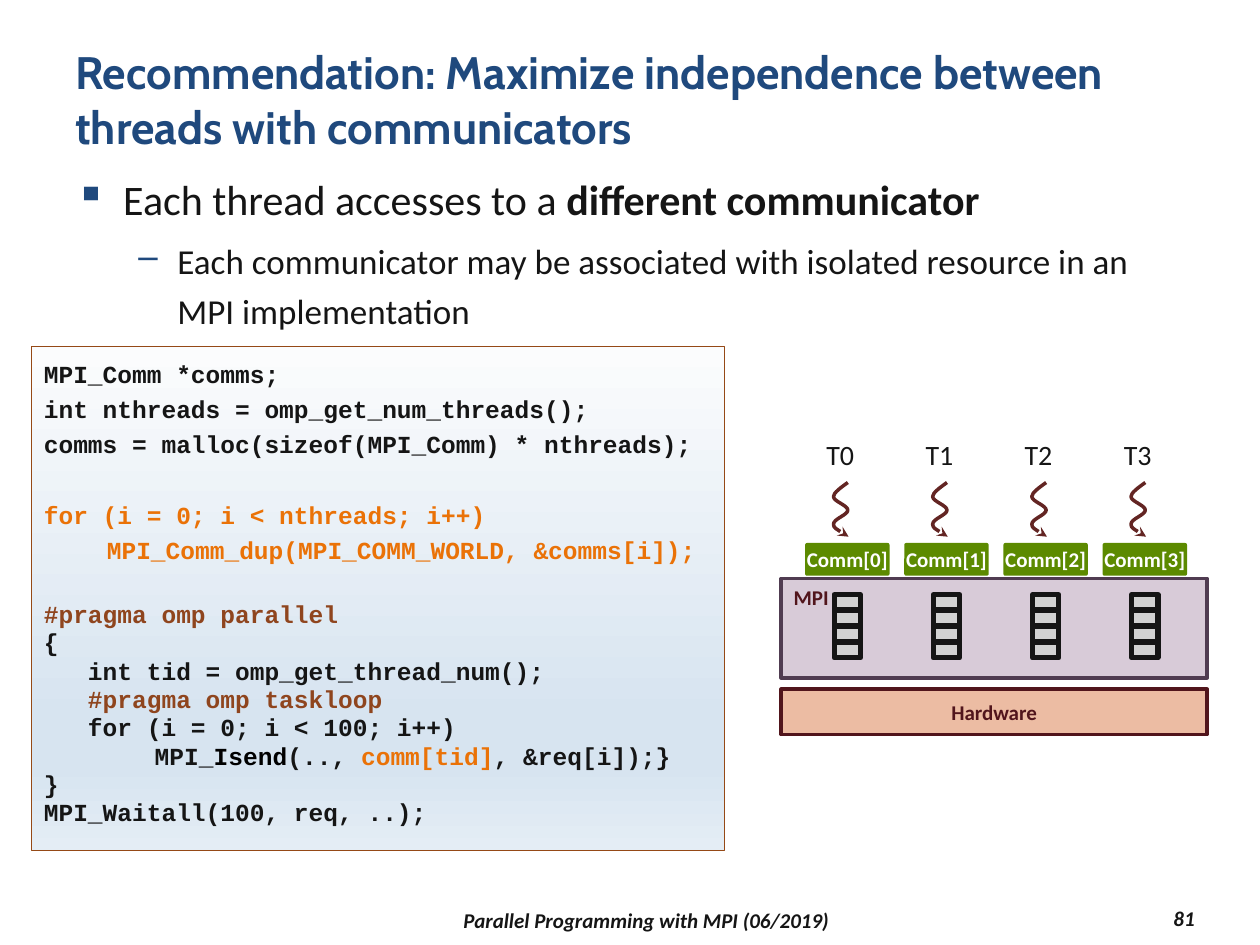
from dataclasses import dataclass
from typing import NamedTuple

from lxml.etree import SubElement
from pptx import Presentation
from pptx.dml.color import RGBColor
from pptx.enum.shapes import MSO_SHAPE
from pptx.enum.text import MSO_ANCHOR, PP_ALIGN
from pptx.oxml.ns import qn
from pptx.util import Inches, Pt


@dataclass(frozen=True)
class Theme:
    heading_font: str = "Cabin"
    body_font: str = "Calibri"
    code_font: str = "Courier New"
    title_size: int = 26
    body_size: int = 24
    detail_size: int = 20
    thread_size: int = 16
    code_size: int = 14
    label_size: int = 12
    navy: str = "1F497D"
    ink: str = "151515"
    black: str = "000000"
    white: str = "FFFFFF"
    orange: str = "EA7207"
    brown: str = "8F451E"
    code_line: str = "954916"
    maroon: str = "51151C"
    lilac: str = "D8CBD8"
    plum: str = "503C51"
    peach: str = "ECBCA3"
    grey: str = "D2D2D2"
    green: str = "5C8A00"
    arrow: str = "632523"
    code_stops: tuple = ((0, "FBFCFD"), (74, "D7E4F0"), (83, "D7E4F0"), (100, "E4EDF5"))


class Area(NamedTuple):
    column: float
    row: float
    columns: float
    rows: float


class Run(NamedTuple):
    text: str
    size: int
    color: str
    font: str = "Calibri"
    bold: bool = False
    italic: bool = False


class Paragraph(NamedTuple):
    runs: list
    align: PP_ALIGN = PP_ALIGN.LEFT
    margin: float = 0
    hanging: float = 0
    line: object = None
    before: float = 0
    bullet: str = ""


THEME = Theme()
COLUMNS, ROWS = 100, 75
presentation = Presentation()
presentation.slide_width, presentation.slide_height = Inches(10), Inches(7.5)
slide = presentation.slides.add_slide(presentation.slide_layouts[6])


def across(columns: float) -> int:
    return round(presentation.slide_width * columns / COLUMNS)


def down(rows: float) -> int:
    return round(presentation.slide_height * rows / ROWS)


def place(area: Area) -> tuple:
    return across(area.column), down(area.row), across(area.columns), down(area.rows)


def write(shape, paragraphs: list, anchor=MSO_ANCHOR.TOP, wrap=True, inset=True) -> None:
    frame = shape.text_frame
    frame.word_wrap = wrap
    frame.vertical_anchor = anchor
    if not inset:
        frame.margin_left = frame.margin_right = frame.margin_top = frame.margin_bottom = 0
    for index, content in enumerate(paragraphs):
        paragraph = frame.add_paragraph() if index else frame.paragraphs[0]
        properties = paragraph._p.get_or_add_pPr()
        properties.set("marL", str(Inches(content.margin)))
        properties.set("indent", str(-Inches(content.hanging)))
        if content.bullet:
            bullet_color = SubElement(properties, qn("a:buClr"))
            SubElement(bullet_color, qn("a:srgbClr"), val=THEME.navy)
            SubElement(properties, qn("a:buChar"), char=content.bullet)
        paragraph.alignment = content.align
        paragraph.space_before = Pt(content.before)
        if content.line:
            paragraph.line_spacing = content.line
        for piece in content.runs:
            run = paragraph.add_run()
            run.text = piece.text
            run.font.name, run.font.size = piece.font, Pt(piece.size)
            run.font.bold, run.font.italic = piece.bold, piece.italic
            run.font.color.rgb = RGBColor.from_string(piece.color)


def text_box(area: Area, paragraphs: list, **options) -> None:
    write(slide.shapes.add_textbox(*place(area)), paragraphs, **options)


def outline(shape, color: str, width: float) -> None:
    shape.line.color.rgb = RGBColor.from_string(color)
    shape.line.width = Pt(width)


def block(area: Area, fill: str = "", line: str = "", width: float = 2, kind=MSO_SHAPE.RECTANGLE):
    shape = slide.shapes.add_shape(kind, *place(area))
    shape.shadow.inherit = False
    if fill:
        shape.fill.solid()
        shape.fill.fore_color.rgb = RGBColor.from_string(fill)
    if line:
        outline(shape, line, width)
    else:
        shape.line.fill.background()
    return shape


def label(text: str, color: str, align=PP_ALIGN.CENTER, italic=False) -> list:
    return [Paragraph([Run(text, THEME.label_size, color, bold=True, italic=italic)], align)]


def wavy_arrow(column: float, row: float) -> None:
    width, height = 1.2, 4.3
    shares = [(.5, .09), (0, .19), (0, .26), (0, .35), (.95, .42), (.95, .51),
              (.95, .6), (0, .67), (0, .77), (0, .84), (.85, .98), (1, 1)]
    points = [(across(column + x * width), down(row + y * height)) for x, y in shares]
    builder = slide.shapes.build_freeform(across(column + .95 * width), down(row))
    builder.add_line_segments(points, close=False)
    shape = builder.convert_to_shape()
    segments = shape.element.findall(".//" + qn("a:lnTo"))
    for start in range(0, len(segments), 3):
        curve = SubElement(segments[start].getparent(), qn("a:cubicBezTo"))
        for segment in segments[start:start + 3]:
            curve.append(segment[0])
            segment.getparent().remove(segment)
    shape.shadow.inherit = False
    shape.fill.background()
    outline(shape, THEME.arrow, 2)
    SubElement(shape.line._get_or_add_ln(), qn("a:tailEnd"), type="stealth")


def thread(number: int) -> None:
    left = 63.9 + 7.87 * number
    for cell in range(4):
        block(Area(left + 2.3, 47.2 + 1.27 * cell, 2.1, 1.2), THEME.grey, THEME.ink, 3)
    wavy_arrow(left + 2.25, 38.3)
    communicator = block(Area(left, 43.1, 6.7, 2.6), THEME.green, kind=MSO_SHAPE.ROUNDED_RECTANGLE)
    communicator.adjustments[0] = .06
    write(communicator, label(f"Comm[{number}]", THEME.white),
          anchor=MSO_ANCHOR.MIDDLE, wrap=False, inset=False)
    text_box(Area(left + .7, 34.2, 4.2, 3.7),
             [Paragraph([Run(f"T{number}", THEME.thread_size, THEME.ink)])], wrap=False)


def code(*pieces: tuple, loose=False, before: float = 0, margin: float = .38) -> Paragraph:
    runs = [Run(text, THEME.code_size, color, THEME.code_font, True) for text, color in pieces]
    return Paragraph(runs, margin=margin, hanging=.38, line=Pt(20.2 if loose else 13.7),
                     before=before if loose else before + 2.5)


def code_panel() -> None:
    ink, orange, brown = THEME.ink, THEME.orange, THEME.brown
    panel = block(Area(2.5, 27.5, 55, 40), line=THEME.code_line, width=.75)
    panel.fill.gradient()
    panel.fill.gradient_angle = 270
    stops = panel.element.find(".//" + qn("a:gsLst"))
    for stop in list(stops):
        stops.remove(stop)
    for position, color in THEME.code_stops:
        stop = SubElement(stops, qn("a:gs"), pos=str(position * 1000))
        SubElement(stop, qn("a:srgbClr"), val=color)
    write(panel, [
        code(("MPI_Comm *comms;", ink), loose=True),
        code(("int nthreads = omp_get_num_threads();", ink), loose=True),
        code(("comms = malloc(sizeof(MPI_Comm) * nthreads);", ink), loose=True),
        code(("for (i = 0; i < nthreads; i++)", orange), loose=True, before=20.2),
        code(("MPI_Comm_dup(MPI_COMM_WORLD, &comms[i]);", orange), loose=True, margin=.88),
        code(("#pragma omp parallel", brown), before=20.2),
        code(("{", ink)),
        code(("   int tid = omp_get_thread_num();", ink)),
        code(("   #pragma omp taskloop", brown)),
        code(("   for (i = 0; i < 100; i++)", ink)),
        code(("\t\tMPI_", ink), ("Isend", THEME.black), ("(.., ", ink),
             ("comm[tid]", orange), (", &req[i]);}", ink)),
        code(("}", ink)),
        code(("MPI_Waitall(100, req, ..);", ink)),
    ])


text_box(Area(5, 3, 90, 8.7), [Paragraph([Run(
    "Recommendation: Maximize independence between threads with communicators",
    THEME.title_size, THEME.navy, THEME.heading_font, True)])])
text_box(Area(5, 12.5, 90, 56.7), [
    Paragraph([Run("Each thread accesses to a ", THEME.body_size, THEME.ink),
               Run("different communicator", THEME.body_size, THEME.ink, bold=True)],
              margin=.38, hanging=.38, line=1.2, bullet="▪"),
    Paragraph([Run("Each communicator may be associated with isolated resource in an MPI implementation",
                   THEME.detail_size, THEME.ink)],
              margin=.81, hanging=.31, line=1.2, before=4, bullet="–")])
text_box(Area(21.7, 71.7, 59.2, 2.7), label("Parallel Programming with MPI (06/2019)", THEME.ink, italic=True),
         anchor=MSO_ANCHOR.MIDDLE)
text_box(Area(85, 71.5, 10.8, 2.7), label("81", THEME.ink, PP_ALIGN.RIGHT, True), anchor=MSO_ANCHOR.MIDDLE)
code_panel()
write(block(Area(62, 45.9, 33.8, 7.9), THEME.lilac, THEME.plum), label("MPI", THEME.maroon, PP_ALIGN.LEFT))
for thread_number in range(4):
    thread(thread_number)
write(block(Area(62, 54.7, 33.8, 3.6), THEME.peach, THEME.maroon), label("Hardware", THEME.maroon),
      anchor=MSO_ANCHOR.MIDDLE)
presentation.save("out.pptx")
